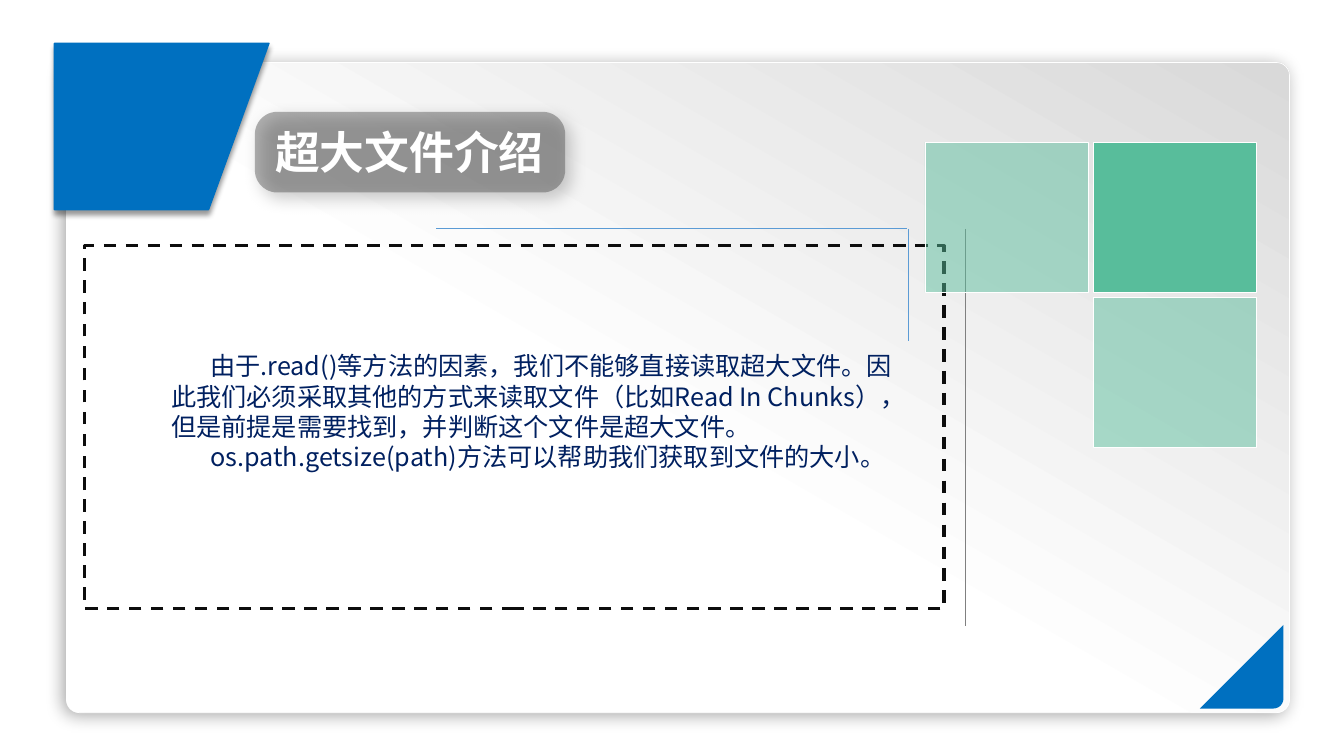
import math
from dataclasses import dataclass
from typing import Any, Optional

import pptx
import pptx.dml.color
import pptx.enum.dml
import pptx.enum.shapes
import pptx.enum.text
import pptx.oxml.ns
import pptx.util
from lxml import etree

Inches, Pt = pptx.util.Inches, pptx.util.Pt
SHAPES = pptx.enum.shapes.MSO_SHAPE
FONT = "Noto Sans CJK SC"
BLUE, GREEN, WHITE, BLACK = "0070C0", "58BD9B", "FFFFFF", "000000"
Point = tuple[float, float]


@dataclass
class Shadow:
    opacity: int
    blur: float
    distance: float
    angle: int


@dataclass
class Box:
    left: float
    top: float
    width: float
    height: float
    fill: Optional[str] = None
    opacity: int = 100
    line: Optional[str] = None
    line_width: float = 0.25
    preset: Any = SHAPES.RECTANGLE
    corner: Optional[float] = None
    shadow: Optional[Shadow] = None


@dataclass
class Rule:
    start: Point
    end: Point
    color: str


def rgb(color: str) -> pptx.dml.color.RGBColor:
    return pptx.dml.color.RGBColor.from_string(color)


def add_child(parent: Any, tag: str, **values: Any) -> Any:
    attributes = {name: str(value) for name, value in values.items()}
    return etree.SubElement(parent, pptx.oxml.ns.qn(tag), attributes)


def set_fill(shape: Any, color: Optional[str], opacity: int = 100) -> None:
    if color is None:
        shape.fill.background()
        return
    shape.fill.solid()
    shape.fill.fore_color.rgb = rgb(color)
    if opacity < 100:
        color_element = shape.element.spPr.find(".//" + pptx.oxml.ns.qn("a:srgbClr"))
        add_child(color_element, "a:alpha", val=opacity * 1000)


def set_line(shape: Any, color: Optional[str], width: float) -> None:
    if color is None:
        shape.line.fill.background()
        return
    shape.line.color.rgb = rgb(color)
    shape.line.width = Pt(width)


def set_shadow(shape: Any, shadow: Optional[Shadow]) -> None:
    shape.shadow.inherit = False
    if shadow is None:
        return
    effects = shape.element.spPr.find(pptx.oxml.ns.qn("a:effectLst"))
    outer = add_child(effects, "a:outerShdw", blurRad=Pt(shadow.blur), dist=Pt(shadow.distance),
                      dir=shadow.angle * 60000, algn="ctr", rotWithShape=0)
    add_child(add_child(outer, "a:srgbClr", val=BLACK), "a:alpha", val=shadow.opacity * 1000)


def add_box(slide: Any, box: Box) -> Any:
    shape = slide.shapes.add_shape(box.preset, Inches(box.left), Inches(box.top),
                                   Inches(box.width), Inches(box.height))
    if box.corner is not None:
        shape.adjustments[0] = box.corner
    set_fill(shape, box.fill, box.opacity)
    set_line(shape, box.line, box.line_width)
    set_shadow(shape, box.shadow)
    return shape


def add_outline(slide: Any, points: list[Point], line: Optional[str] = None,
                shadow: Optional[Shadow] = None) -> None:
    """Draw a closed blue polygon through the points."""
    corners = [(Inches(x), Inches(y)) for x, y in points]
    builder = slide.shapes.build_freeform(*corners[0])
    builder.add_line_segments(corners[1:], close=True)
    shape = builder.convert_to_shape()
    set_fill(shape, BLUE)
    set_line(shape, line, 1)
    set_shadow(shape, shadow)


def add_rule(slide: Any, rule: Rule) -> None:
    ends = [Inches(value) for value in rule.start + rule.end]
    connector = slide.shapes.add_connector(pptx.enum.shapes.MSO_CONNECTOR.STRAIGHT, *ends)
    set_line(connector, rule.color, 0.5)
    add_child(connector.element.spPr, "a:effectLst")


def write_text(paragraph: Any, text: str, color: str, font_format: dict[str, Any]) -> None:
    run = paragraph.add_run()
    run.text = text
    for name, value in font_format.items():
        setattr(run.font, name, value)
    run.font.color.rgb = rgb(color)
    add_child(run.font._element, "a:ea", typeface=FONT)


def add_card(slide: Any) -> None:
    card = add_box(slide, Box(0.66, 0.62, 12.14, 6.45, WHITE, line=WHITE, line_width=0.5,
                              preset=SHAPES.ROUNDED_RECTANGLE, corner=0.02,
                              shadow=Shadow(34, 12, 3, 135)))
    card.fill.gradient()
    card.fill.gradient_angle = 60
    for stop, (position, color) in zip(card.fill.gradient_stops, [(0.45, WHITE), (1, "D9D9D9")]):
        stop.position = position
        stop.color.rgb = rgb(color)


def add_title(slide: Any) -> None:
    add_box(slide, Box(2.53, 1.11, 3.08, 0.8, "404040", 40, preset=SHAPES.ROUNDED_RECTANGLE,
                       corner=0.278, shadow=Shadow(50, 12, 6, 45)))
    title = slide.shapes.title
    title.element.getparent().append(title.element)
    placement = {"left": 2.63, "top": 1.19, "width": 2.89, "height": 0.64}
    for name, value in placement.items():
        setattr(title, name, Inches(value))
    title.text_frame.word_wrap = False
    title.text_frame.auto_size = pptx.enum.text.MSO_AUTO_SIZE.NONE
    title.text_frame.vertical_anchor = pptx.enum.text.MSO_ANCHOR.TOP
    paragraph = title.text_frame.paragraphs[0]
    paragraph.alignment = pptx.enum.text.PP_ALIGN.LEFT
    write_text(paragraph, "超大文件介绍", WHITE, {"name": FONT, "size": Pt(32), "bold": True})


def add_body(slide: Any) -> None:
    body = slide.shapes.add_textbox(Inches(1.35), Inches(3.43), Inches(7.82), Inches(1.31))
    frame = body.text_frame
    frame.word_wrap = True
    texts = [
        "由于.read()等方法的因素，我们不能够直接读取超大文件。因此我们必须采取其他的方式来读取文件"
        "（比如Read In Chunks），但是前提是需要找到，并判断这个文件是超大文件。",
        "os.path.getsize(path)方法可以帮助我们获取到文件的大小。",
    ]
    for index, text in enumerate(texts):
        paragraph = frame.add_paragraph() if index else frame.paragraphs[0]
        properties = paragraph._p.get_or_add_pPr()
        properties.set("marL", str(Inches(0.25)))
        properties.set("indent", str(Inches(0.39)))
        write_text(paragraph, text, "002060", {"name": FONT, "size": Pt(18)})


def main() -> None:
    presentation = pptx.Presentation()
    presentation.slide_width, presentation.slide_height = Inches(13.34), Inches(7.5)
    slide = presentation.slides.add_slide(presentation.slide_layouts[5])

    add_card(slide)
    radius = 0.1
    turns = [math.radians(degrees) for degrees in range(0, 91, 15)]
    rounded = [(12.64 + radius * math.cos(turn), 6.93 + radius * math.sin(turn)) for turn in turns]
    add_outline(slide, [(12.74, 6.2), *rounded, (11.91, 7.03)])
    add_outline(slide, [(2.67, 0.43), (0.54, 0.43), (0.54, 2.08), (2.07, 2.08)],
                BLUE, Shadow(40, 4, 3, 90))

    for rule in [Rule((9.58, 2.27), (9.58, 6.21), "808080"),
                 Rule((4.33, 2.27), (9, 2.27), "5B9BD5"),
                 Rule((9.02, 2.27), (9.02, 3.38), "5B9BD5")]:
        add_rule(slide, rule)

    frame = add_box(slide, Box(0.84, 2.44, 8.53, 3.6, line="0D0D0D", line_width=2.25))
    frame.line.dash_style = pptx.enum.dml.MSO_LINE.DASH

    tile_width, tile_height, gap = 1.62, 1.49, 0.05
    for column, row, opacity in [(1, 1, 49), (0, 0, 49), (1, 0, 100)]:
        add_box(slide, Box(9.18 + column * (tile_width + gap), 1.41 + row * (tile_height + gap),
                           tile_width, tile_height, GREEN, opacity, WHITE))

    add_body(slide)
    add_title(slide)
    presentation.save("out.pptx")


if __name__ == "__main__":
    main()
